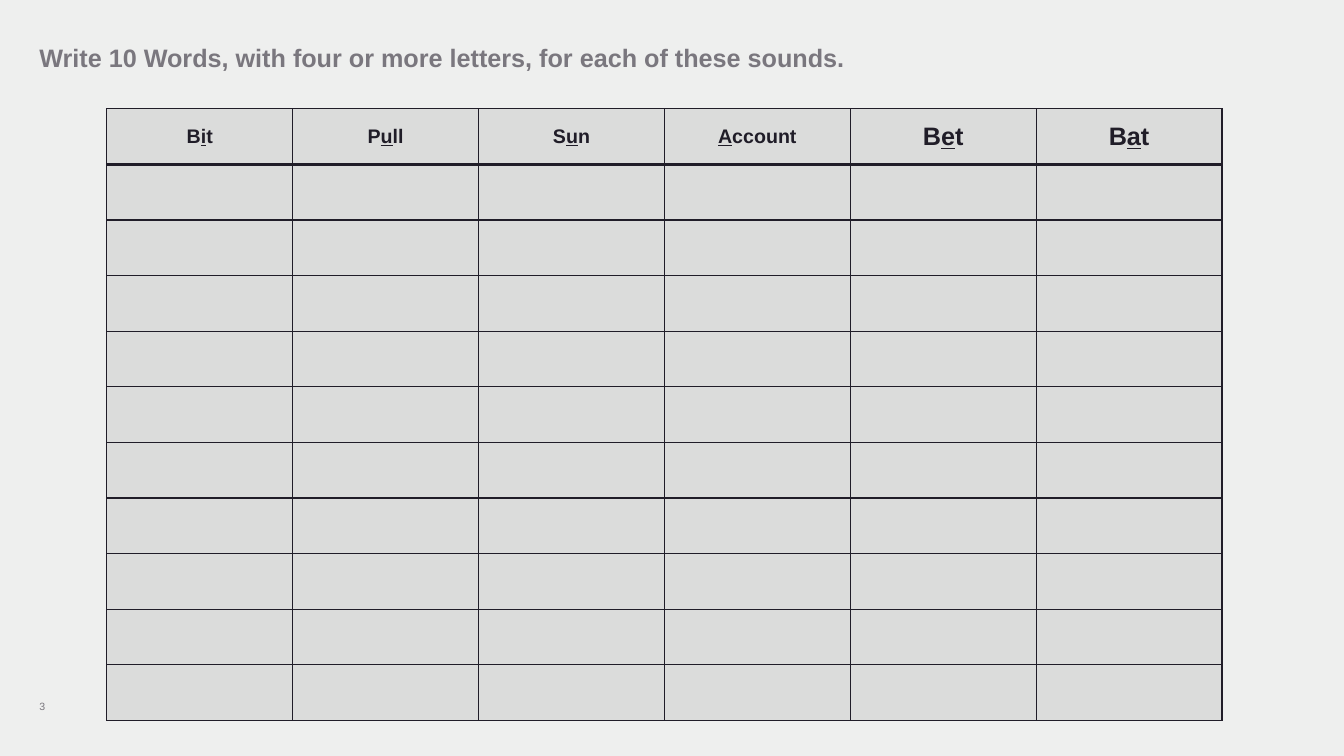
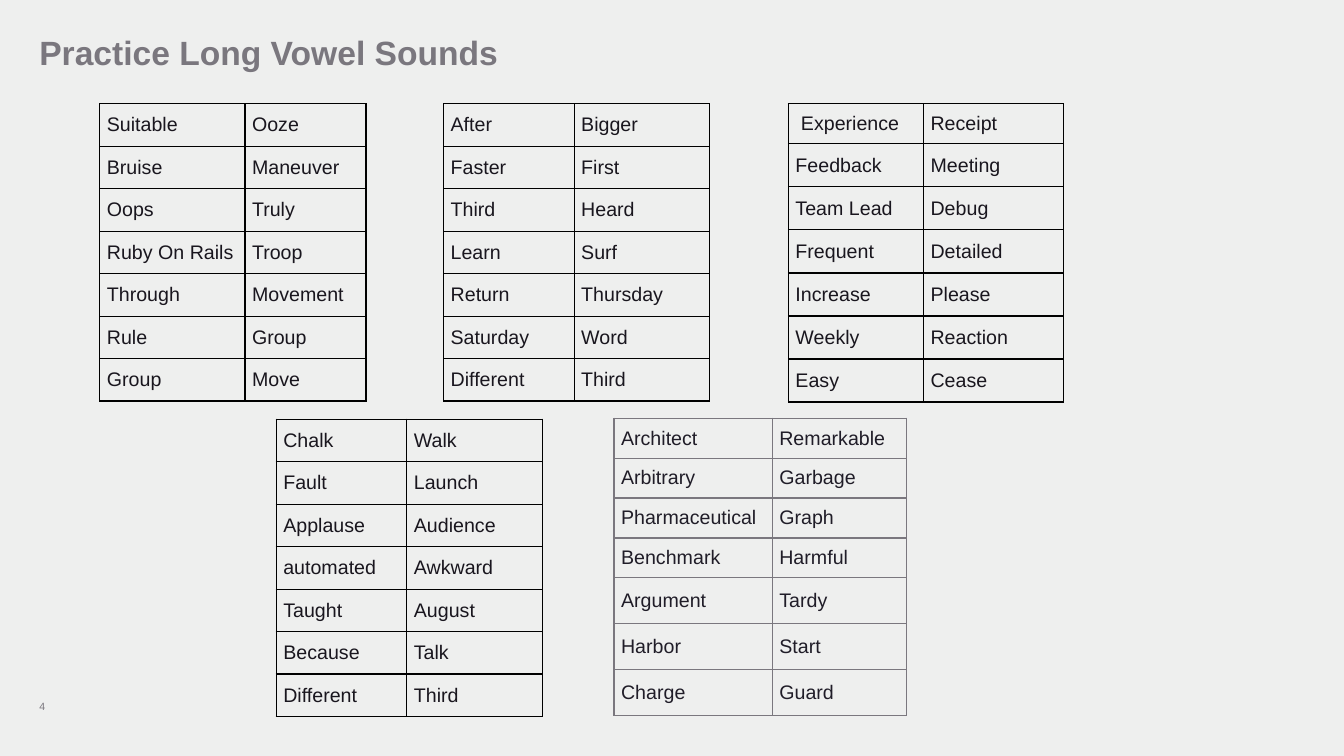
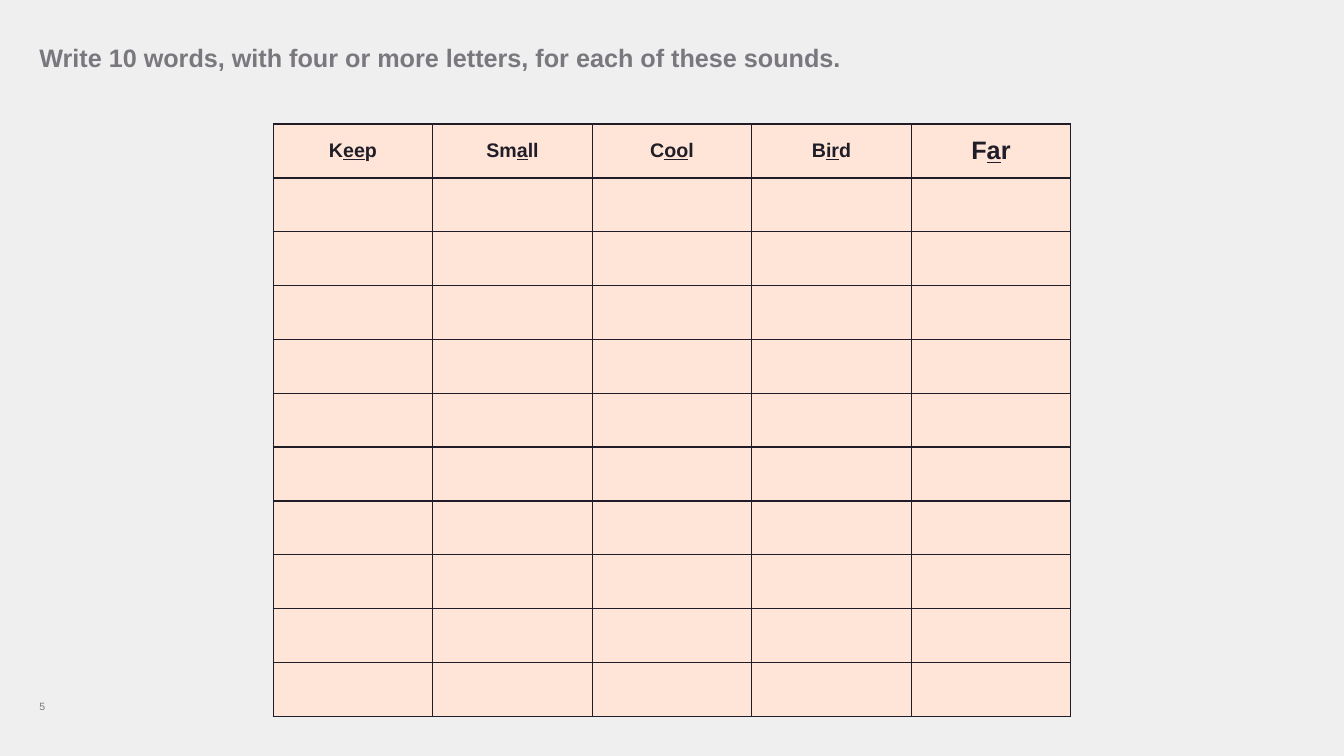
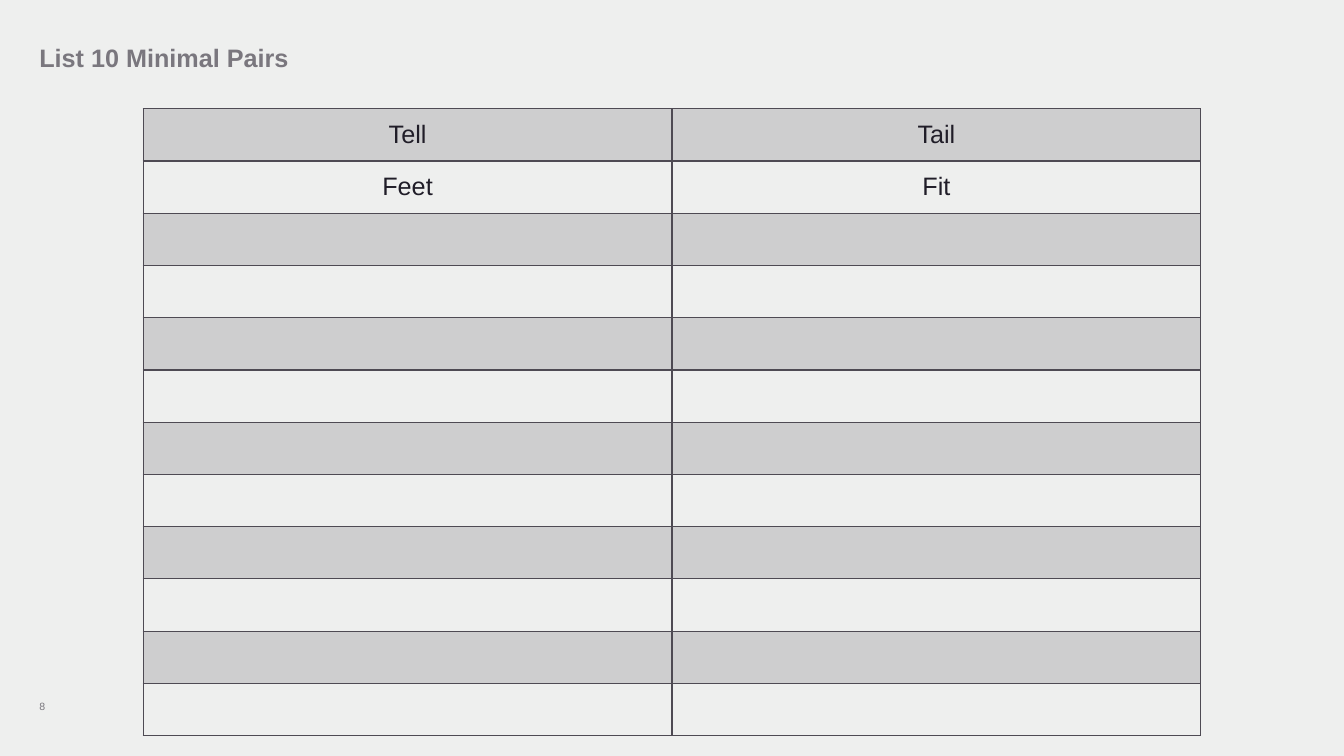
from dataclasses import dataclass
from typing import NamedTuple

from lxml.etree import SubElement
from pptx import Presentation
from pptx.dml.color import RGBColor
from pptx.enum.text import MSO_ANCHOR, PP_ALIGN
from pptx.oxml import parse_xml
from pptx.oxml.ns import nsdecls, qn
from pptx.util import Inches, Pt


@dataclass(frozen=True)
class Theme:
    """Colours, font and type sizes of the deck."""

    font: str = "Arial"
    background: str = "EEEFEE"
    muted: str = "7A777E"
    ink: str = "201D28"
    word: str = "19161E"
    black: str = "000000"
    slate: str = "4E4A53"
    grey: str = "DBDCDB"
    peach: str = "FEE5D7"
    title: float = 24
    prompt: float = 18
    body: float = 14
    number: float = 7.5


class Box(NamedTuple):
    """A place on the page, in inches."""

    left: float
    top: float
    width: float
    height: float


THEME = Theme()
PROMPT_BOX = Box(0.39, 0.39, 12.53, 0.39)
TITLE_BOX = Box(0.39, 0.35, 12.53, 0.39)
NUMBER_BOX = Box(0.39, 6.71, 0.59, 0.59)
ANSWER_ROWS = 10

SUITABLE_WORDS = [
    ("Suitable", "Ooze"), ("Bruise", "Maneuver"), ("Oops", "Truly"),
    ("Ruby On Rails", "Troop"), ("Through", "Movement"),
    ("Rule", "Group"), ("Group", "Move"),
]
AFTER_WORDS = [
    ("After", "Bigger"), ("Faster", "First"), ("Third", "Heard"),
    ("Learn", "Surf"), ("Return", "Thursday"),
    ("Saturday", "Word"), ("Different", "Third"),
]
EXPERIENCE_WORDS = [
    (" Experience", "Receipt"), ("Feedback", "Meeting"), ("Team Lead", "Debug"),
    ("Frequent", "Detailed"), ("Increase", "Please"),
    ("Weekly", "Reaction"), ("Easy", "Cease"),
]
CHALK_WORDS = [
    ("Chalk", "Walk"), ("Fault", "Launch"), ("Applause", "Audience"),
    ("automated", "Awkward"), ("Taught", "August"),
    ("Because", "Talk"), ("Different", "Third"),
]
ARCHITECT_WORDS = [
    ("Architect", "Remarkable"), ("Arbitrary", "Garbage"),
    ("Pharmaceutical", "Graph"), ("Benchmark", "Harmful"),
    ("Argument", "Tardy"), ("Harbor", "Start"), ("Charge", "Guard"),
]


def style_span(span, size, color, bold=False):
    """Give one run its font."""
    span.font.name = THEME.font
    span.font.size = Pt(size)
    span.font.bold = bold
    span.font.color.rgb = RGBColor.from_string(color)


def add_text(page, box, text, size, bold=False):
    """Place a muted line of text, centred vertically in its box."""
    frame = page.shapes.add_textbox(*map(Inches, box)).text_frame
    frame.word_wrap = True
    frame.vertical_anchor = MSO_ANCHOR.MIDDLE
    frame.margin_left = frame.margin_right = frame.margin_top = frame.margin_bottom = 0
    frame.text = text
    para = frame.paragraphs[0]
    style_span(para.runs[0], size, THEME.muted, bold)
    return para


def add_page(deck, number, title, box=PROMPT_BOX, size=THEME.prompt):
    """Add a page with its background, title and number."""
    page = deck.slides.add_slide(deck.slide_layouts[6])
    page.background.fill.solid()
    page.background.fill.fore_color.rgb = RGBColor.from_string(THEME.background)
    add_text(page, box, title, size, bold=True).line_spacing = 0.9
    add_text(page, NUMBER_BOX, str(number), THEME.number)
    return page


def set_borders(cell, color, bottom=1):
    """Draw the four borders of a cell."""
    properties = cell._tc.get_or_add_tcPr()
    widths = {"lnL": 1, "lnR": 1, "lnT": 1, "lnB": bottom}
    for index, (side, width) in enumerate(widths.items()):
        properties.insert(index, parse_xml(
            f'<a:{side} {nsdecls("a")} w="{Pt(width)}"><a:solidFill>'
            f'<a:srgbClr val="{color}"/></a:solidFill></a:{side}>'))


def fill_cell(cell, color, opacity=100):
    """Fill a cell, or leave it clear when there is no colour."""
    if color is None:
        cell.fill.background()
        return
    cell.fill.solid()
    cell.fill.fore_color.rgb = RGBColor.from_string(color)
    if opacity < 100:
        tint = cell._tc.tcPr.find(qn("a:solidFill")).find(qn("a:srgbClr"))
        SubElement(tint, qn("a:alpha"), val=str(opacity * 1000))


def write_cell(cell, text, size, color, bold=False, align=PP_ALIGN.CENTER):
    """Write a cell's text, underlining what stands between underscores."""
    para = cell.text_frame.paragraphs[0]
    para.alignment = align
    for index, part in enumerate(text.split("_")):
        if part:
            span = para.add_run()
            span.text = part
            style_span(span, size, color, bold)
            span.font.underline = index % 2 == 1


def add_grid(page, box, columns, rows, border, header_line=1):
    """Add a clear table whose column and row shares fill the box."""
    table = page.shapes.add_table(len(rows), len(columns), *map(Inches, box)).table
    table.first_row = table.horz_banding = False
    for column, share in zip(table.columns, columns):
        column.width = Inches(box.width * share / sum(columns))
    for row, share in zip(table.rows, rows):
        row.height = Inches(box.height * share / sum(rows))
    for index, row in enumerate(table.rows):
        for cell in row.cells:
            cell.vertical_anchor = MSO_ANCHOR.MIDDLE
            fill_cell(cell, None)
            set_borders(cell, border, 1 if index else header_line)
    return table


def add_sound_table(page, box, small_heads, large_heads, color):
    """Add a filled answer table headed by words with a marked sound."""
    heads = [(head, THEME.body) for head in small_heads]
    heads += [(head, THEME.prompt) for head in large_heads]
    table = add_grid(page, box, [1] * len(heads), [1] * (ANSWER_ROWS + 1),
                     THEME.ink, header_line=2)
    for cell in table.iter_cells():
        fill_cell(cell, color)
    for cell, (head, size) in zip(table.rows[0].cells, heads):
        write_cell(cell, head, size, THEME.ink, bold=True)


def add_word_table(page, box, columns, words, rows=(1,) * 7, spacing=6,
                   border=THEME.black, color=THEME.word):
    """Add a table of word pairs."""
    table = add_grid(page, box, columns, rows, border)
    for row, pair in zip(table.rows, words):
        for cell, word in zip(row.cells, pair):
            cell.margin_left = cell.margin_right = Inches(0.07)
            cell.margin_top = cell.margin_bottom = 0
            write_cell(cell, word, THEME.body, color, align=PP_ALIGN.LEFT)
            para = cell.text_frame.paragraphs[0]
            para.space_before = para.space_after = Pt(spacing)


def add_pair_table(page, box, pairs):
    """Add a banded table that starts with example pairs."""
    table = add_grid(page, box, [1, 1], [1] * (len(pairs) + ANSWER_ROWS), THEME.slate)
    for index, row in enumerate(table.rows):
        for cell in row.cells:
            fill_cell(cell, None if index % 2 else THEME.slate, opacity=20)
    for row, pair in zip(table.rows, pairs):
        for cell, word in zip(row.cells, pair):
            write_cell(cell, word, THEME.prompt, THEME.ink)


def build_short_sounds(deck):
    """Build the short vowel exercise."""
    page = add_page(deck, 3, "Write 10 Words, with four or more letters, for each of these sounds.")
    add_sound_table(page, Box(1.06, 1.08, 11.06, 6.07),
                    ["B_i_t", "P_u_ll", "S_u_n", "_A_ccount"],
                    ["B_e_t", "B_a_t"], THEME.grey)


def build_long_practice(deck):
    """Build the five lists of long vowel words."""
    page = add_page(deck, 4, "Practice Long Vowel Sounds", TITLE_BOX, THEME.title)
    add_word_table(page, Box(0.99, 1.03, 2.64, 2.95), [1.44, 1.2], SUITABLE_WORDS)
    add_word_table(page, Box(4.4, 1.03, 2.64, 2.95), [1.29, 1.34], AFTER_WORDS)
    add_word_table(page, Box(7.82, 1.03, 2.73, 2.96), [1.34, 1.39], EXPERIENCE_WORDS,
                   rows=[0.4] + [0.43] * 6, spacing=0)
    add_word_table(page, Box(2.74, 4.16, 2.64, 2.95), [1.29, 1.34], CHALK_WORDS)
    add_word_table(page, Box(6.09, 4.15, 2.9, 2.95), [1.57, 1.33], ARCHITECT_WORDS,
                   rows=[0.4] * 4 + [0.46] * 3, spacing=0,
                   border=THEME.muted, color=THEME.ink)


def build_long_sounds(deck):
    """Build the long vowel exercise."""
    page = add_page(deck, 5, "Write 10 words, with four or more letters, for each of these sounds.")
    add_sound_table(page, Box(2.71, 1.23, 7.91, 5.88),
                    ["K_ee_p", "Sm_a_ll", "C_oo_l", "B_ir_d"], ["F_a_r"], THEME.peach)


def build_minimal_pairs(deck):
    """Build the minimal pairs exercise."""
    page = add_page(deck, 8, "List 10 Minimal Pairs")
    add_pair_table(page, Box(1.42, 1.08, 10.49, 6.22), [("Tell", "Tail"), ("Feet", "Fit")])


def main():
    """Build and save the deck."""
    deck = Presentation()
    deck.slide_width, deck.slide_height = Inches(13.33), Inches(7.5)
    build_short_sounds(deck)
    build_long_practice(deck)
    build_long_sounds(deck)
    build_minimal_pairs(deck)
    deck.save("out.pptx")


if __name__ == "__main__":
    main()
